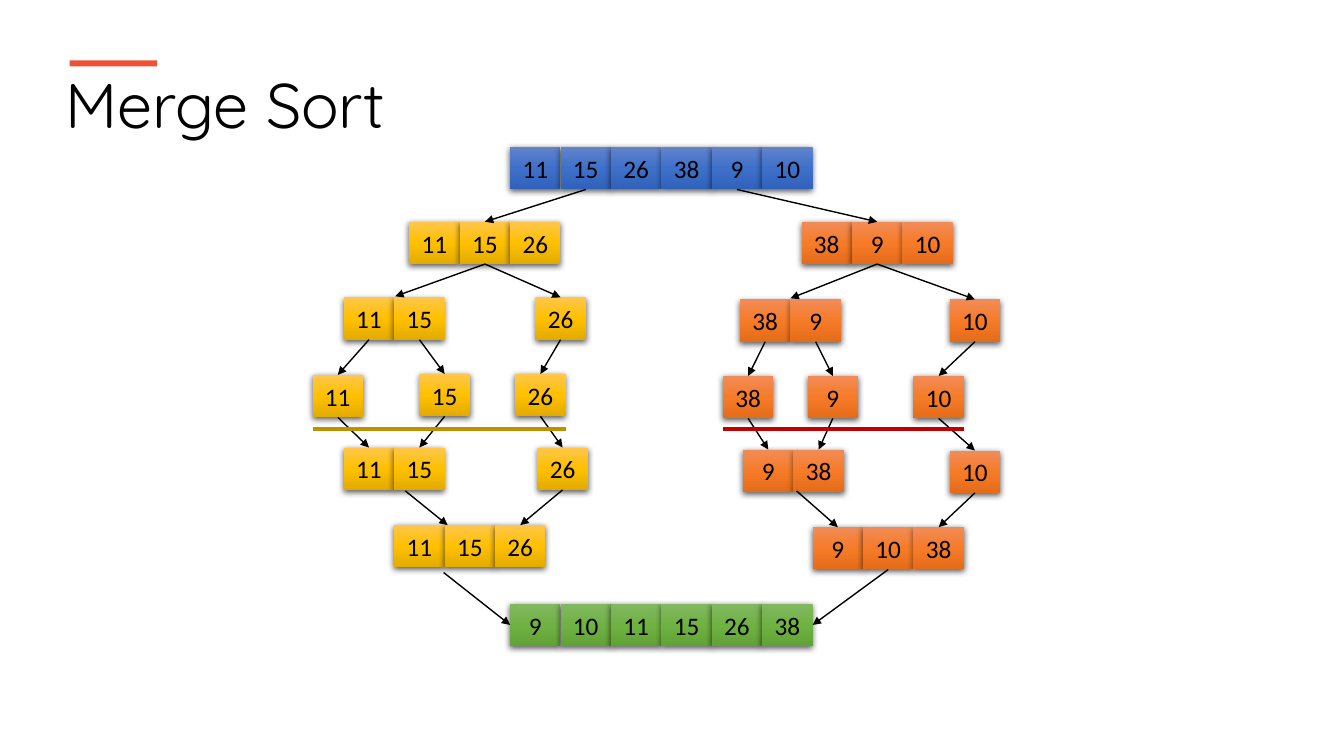
from copy import deepcopy

from lxml import etree
from pptx import Presentation
from pptx.dml.color import RGBColor
from pptx.enum.shapes import MSO_CONNECTOR, MSO_SHAPE
from pptx.enum.text import MSO_ANCHOR, MSO_AUTO_SIZE, PP_ALIGN
from pptx.oxml.ns import qn
from pptx.util import Inches, Pt

RECT = MSO_SHAPE.RECTANGLE
STRAIGHT = MSO_CONNECTOR.STRAIGHT
LEFT, CENTER = PP_ALIGN.LEFT, PP_ALIGN.CENTER
ANCHOR_TOP, ANCHOR_MIDDLE = MSO_ANCHOR.TOP, MSO_ANCHOR.MIDDLE
GROW = MSO_AUTO_SIZE.SHAPE_TO_FIT_TEXT
TOP_SIDE, LEFT_SIDE, BOTTOM_SIDE, RIGHT_SIDE = range(4)

BLACK = RGBColor(0x00, 0x00, 0x00)
ACCENT = RGBColor(0xF0, 0x51, 0x36)
GOLD = RGBColor(0xBF, 0x90, 0x00)
RED = RGBColor(0xC0, 0x00, 0x00)
BLUE = (RGBColor(0x61, 0x83, 0xCB), RGBColor(0x3E, 0x70, 0xCA), RGBColor(0x30, 0x62, 0xBB))
YELLOW = (RGBColor(0xFF, 0xC6, 0x4B), RGBColor(0xFF, 0xC0, 0x00), RGBColor(0xE3, 0xAB, 0x00))
ORANGE = (RGBColor(0xF1, 0x8C, 0x57), RGBColor(0xF6, 0x7B, 0x28), RGBColor(0xE5, 0x6C, 0x19))
GREEN = (RGBColor(0x81, 0xB8, 0x61), RGBColor(0x6F, 0xB2, 0x42), RGBColor(0x62, 0xA3, 0x36))

CELL_W, CELL_H = 0.5, 0.42


class SortSlide:
    title_font = {"name": "Quicksand", "size": Pt(45), "bold": False}
    cell_font = {"name": "Calibri", "size": Pt(18)}

    def __init__(self, prs):
        self.s = prs.slides.add_slide(prs.slide_layouts[5])

    def set_text(self, tf, text, font, align, anchor):
        tf.word_wrap = True
        tf.vertical_anchor = anchor
        p = tf.paragraphs[0]
        p.alignment = align
        r = p.add_run()
        r.text = text
        for key, value in font.items():
            setattr(r.font, key, value)
        r.font.color.rgb = BLACK

    def title(self, text, left, top, width, height):
        sp = self.s.shapes.title
        sp.left, sp.top = Inches(left), Inches(top)
        sp.width, sp.height = Inches(width), Inches(height)
        self.set_text(sp.text_frame, text, self.title_font, LEFT, ANCHOR_TOP)
        sp.text_frame.auto_size = GROW

    def rect(self, shapes, left, top, width, height):
        sp = shapes.add_shape(RECT, Inches(left), Inches(top), Inches(width), Inches(height))
        sp.shadow.inherit = False
        sp.line.fill.background()
        return sp

    def bar(self, left, top, width, height, color):
        sp = self.rect(self.s.shapes, left, top, width, height)
        sp.fill.solid()
        sp.fill.fore_color.rgb = color

    def shade(self, sp, palette):
        sp.fill.gradient()
        sp.fill.gradient_angle = 270
        stops = sp._element.spPr.find(qn("a:gradFill")).find(qn("a:gsLst"))
        stops.append(deepcopy(stops[-1]))
        for i, (stop, color) in enumerate(zip(sp.fill.gradient_stops, palette)):
            stop.position = i / 2
            stop.color.rgb = color

    def drop_shadow(self, sp):
        effects = sp._element.spPr.find(qn("a:effectLst"))
        shadow = etree.SubElement(effects, qn("a:outerShdw"), blurRad=str(Pt(4.5)),
                                  dist=str(Pt(1.5)), dir="5400000", algn="ctr", rotWithShape="0")
        color = etree.SubElement(shadow, qn("a:srgbClr"), val=str(BLACK))
        etree.SubElement(color, qn("a:alpha"), val="63000")

    def array(self, left, top, values, palette):
        shapes = self.s.shapes
        if len(values) > 1:
            shapes = shapes.add_group_shape().shapes
        cells = []
        for i, value in enumerate(values):
            sp = self.rect(shapes, left + i * CELL_W, top, CELL_W, CELL_H)
            self.shade(sp, palette)
            self.drop_shadow(sp)
            self.set_text(sp.text_frame, str(value), self.cell_font, CENTER, ANCHOR_MIDDLE)
            sp.text_frame.margin_left = sp.text_frame.margin_right = 0
            cells.append(sp)
        return cells

    def line(self, start, end, color, width):
        c = self.s.shapes.add_connector(STRAIGHT, *map(Inches, start + end))
        c.line.color.rgb = color
        c.line.width = Pt(width)
        etree.SubElement(c._element.spPr, qn("a:effectLst"))
        return c

    def arrow(self, start, end, end_side=TOP_SIDE):
        points = [pt if isinstance(pt, tuple) else (0, 0) for pt in (start, end)]
        c = self.line(*points, BLACK, 1)
        if not isinstance(start, tuple):
            c.begin_connect(start, BOTTOM_SIDE)
        if not isinstance(end, tuple):
            c.end_connect(end, end_side)
        ln = c._element.spPr.find(qn("a:ln"))
        etree.SubElement(ln, qn("a:tailEnd"), type="triangle")


def main():
    prs = Presentation()
    prs.slide_width, prs.slide_height = Inches(13.33), Inches(7.5)
    slide = SortSlide(prs)
    slide.title("Merge Sort", 0.55, 0.6, 12.09, 0.86)
    slide.bar(0.69, 0.6, 0.87, 0.06, ACCENT)

    unsorted = slide.array(5.06, 1.46, (11, 15, 26, 38, 9, 10), BLUE)

    left_half = slide.array(4.06, 2.2, (11, 15, 26), YELLOW)
    left_pair = slide.array(3.41, 2.95, (11, 15), YELLOW)
    left_single, = slide.array(5.31, 2.95, (26,), YELLOW)
    leaf_11, = slide.array(3.1, 3.72, (11,), YELLOW)
    leaf_15, = slide.array(4.16, 3.71, (15,), YELLOW)
    leaf_26, = slide.array(5.11, 3.71, (26,), YELLOW)
    left_sorted_pair = slide.array(3.41, 4.44, (11, 15), YELLOW)
    left_kept, = slide.array(5.33, 4.44, (26,), YELLOW)
    left_merged = slide.array(3.91, 5.21, (11, 15, 26), YELLOW)

    right_half = slide.array(7.95, 2.2, (38, 9, 10), ORANGE)
    right_pair = slide.array(7.34, 2.97, (38, 9), ORANGE)
    right_single, = slide.array(9.42, 2.97, (10,), ORANGE)
    leaf_38, = slide.array(7.17, 3.73, (38,), ORANGE)
    leaf_9, = slide.array(8.01, 3.73, (9,), ORANGE)
    leaf_10, = slide.array(9.06, 3.73, (10,), ORANGE)
    right_sorted_pair = slide.array(7.37, 4.46, (9, 38), ORANGE)
    right_kept, = slide.array(9.42, 4.47, (10,), ORANGE)
    right_merged = slide.array(8.06, 5.23, (9, 10, 38), ORANGE)

    result = slide.array(5.06, 5.99, (9, 10, 11, 15, 26, 38), GREEN)

    for start, end in (
        (unsorted[1], left_half[1]),
        (unsorted[4], right_half[1]),
        (left_half[1], (3.92, 2.94)),
        (left_half[1], left_single),
        (right_half[1], (7.84, 2.96)),
        (right_half[1], right_single),
        (left_pair[0], leaf_11),
        (left_pair[1], leaf_15),
        (left_single, leaf_26),
        (right_pair[0], leaf_38),
        (right_pair[1], leaf_9),
        (right_single, leaf_10),
        (leaf_11, left_sorted_pair[0]),
        (leaf_15, left_sorted_pair[1]),
        (leaf_26, left_kept),
        (leaf_38, right_sorted_pair[0]),
        (leaf_9, right_sorted_pair[1]),
        (leaf_10, right_kept),
        ((4.02, 4.87), (4.44, 5.21)),
        (left_kept, left_merged[2]),
        ((7.9, 4.87), right_merged[0]),
        (right_kept, right_merged[2]),
    ):
        slide.arrow(start, end)
    slide.arrow((4.4, 5.68), result[0], LEFT_SIDE)
    slide.arrow(right_merged[1], result[-1], RIGHT_SIDE)

    slide.line((3.1, 4.26), (5.61, 4.26), GOLD, 3)
    slide.line((7.17, 4.26), (9.56, 4.26), RED, 3)

    prs.save("out.pptx")


if __name__ == "__main__":
    main()
